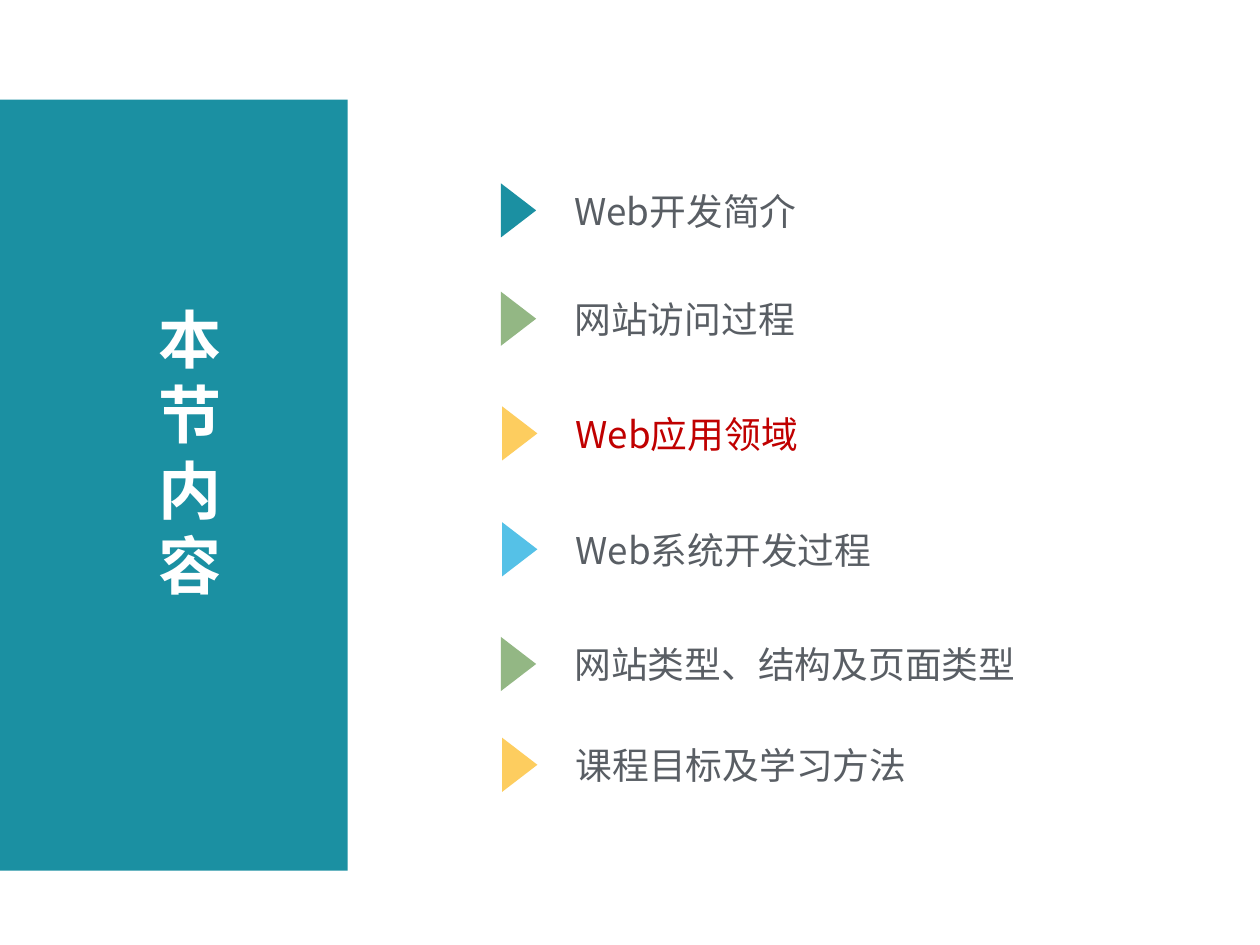
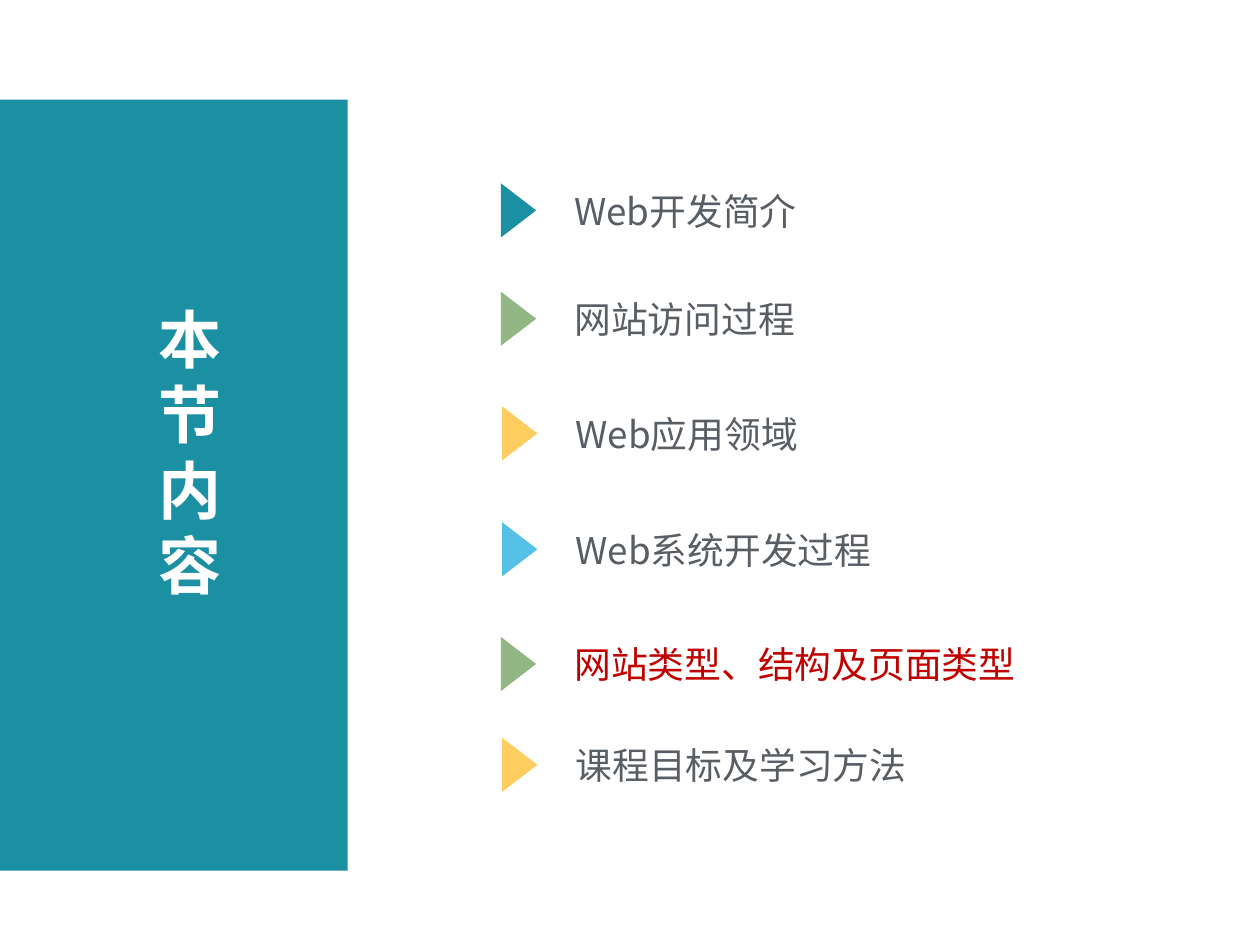
from lxml import etree
from pptx import Presentation
from pptx.dml.color import RGBColor
from pptx.enum.shapes import MSO_SHAPE
from pptx.enum.text import MSO_AUTO_SIZE
from pptx.oxml.ns import qn
from pptx.util import Inches, Pt

RECTANGLE = MSO_SHAPE.RECTANGLE
TRIANGLE = MSO_SHAPE.ISOSCELES_TRIANGLE
FIT_SHAPE = MSO_AUTO_SIZE.SHAPE_TO_FIT_TEXT

FONT = "Noto Sans CJK SC"
TEAL, GREEN, YELLOW, BLUE = "1B90A2", "93B784", "FDCD5F", "55C1E7"
WHITE, GREY, RED = "FFFFFF", "595E64", "C00000"
LINE_RATIO = 1.2

TOPICS = [
    ("Web开发简介", TEAL, 4.46, 1.45),
    ("网站访问过程", GREEN, 4.46, 2.31),
    ("Web应用领域", YELLOW, 4.47, 3.22),
    ("Web系统开发过程", BLUE, 4.47, 4.14),
    ("网站类型、结构及页面类型", GREEN, 4.46, 5.05),
    ("课程目标及学习方法", YELLOW, 4.47, 5.85),
]
CURRENT_TOPICS = ["Web应用领域", "网站类型、结构及页面类型"]


def rgb(value):
    return RGBColor.from_string(value)


class Deck:
    def __init__(self):
        self.presentation = Presentation()
        self.presentation.slide_width = Inches(10)
        self.presentation.slide_height = Inches(7.5)
        self.slide = None

    def add_slide(self):
        blank = self.presentation.slide_layouts[6]
        self.slide = self.presentation.slides.add_slide(blank)

    def shape(self, kind, left, top, width, height, color, rotation=0):
        shape = self.slide.shapes.add_shape(
            kind, Inches(left), Inches(top), Inches(width), Inches(height))
        shape.shadow.inherit = False
        shape.fill.solid()
        shape.fill.fore_color.rgb = rgb(color)
        shape.line.fill.background()
        shape.rotation = rotation

    def text(self, words, left, top, width, height, size, color, bold=False):
        box = self.slide.shapes.add_textbox(
            Inches(left), Inches(top), Inches(width), Inches(height))
        frame = box.text_frame
        frame.word_wrap = True
        frame.auto_size = FIT_SHAPE
        paragraph = frame.paragraphs[0]
        paragraph.line_spacing = Pt(round(size * LINE_RATIO))
        run = paragraph.add_run()
        run.text = words
        run.font.size = Pt(size)
        run.font.bold = bold
        run.font.color.rgb = rgb(color)
        run.font.name = FONT
        east_asian = etree.SubElement(run.font._element, qn("a:ea"))
        east_asian.set("typeface", FONT)

    def title_band(self, words):
        self.shape(RECTANGLE, 0, 0.79, 2.76, 6.12, TEAL)
        self.text(words, 1.16, 2.34, 0.98, 2.52, 36, WHITE, bold=True)

    def topic(self, words, marker_color, left, top, color):
        self.shape(TRIANGLE, left - 0.56, top + 0.08, 0.43, 0.28,
                   marker_color, rotation=90)
        self.text(words, left, top, 5, 0.45, 21, color)

    def agenda(self, current):
        self.add_slide()
        self.title_band("本节内容")
        for words, marker_color, left, top in TOPICS:
            color = RED if words == current else GREY
            self.topic(words, marker_color, left, top, color)


def main():
    deck = Deck()
    for current in CURRENT_TOPICS:
        deck.agenda(current)
    deck.presentation.save("out.pptx")


if __name__ == "__main__":
    main()
